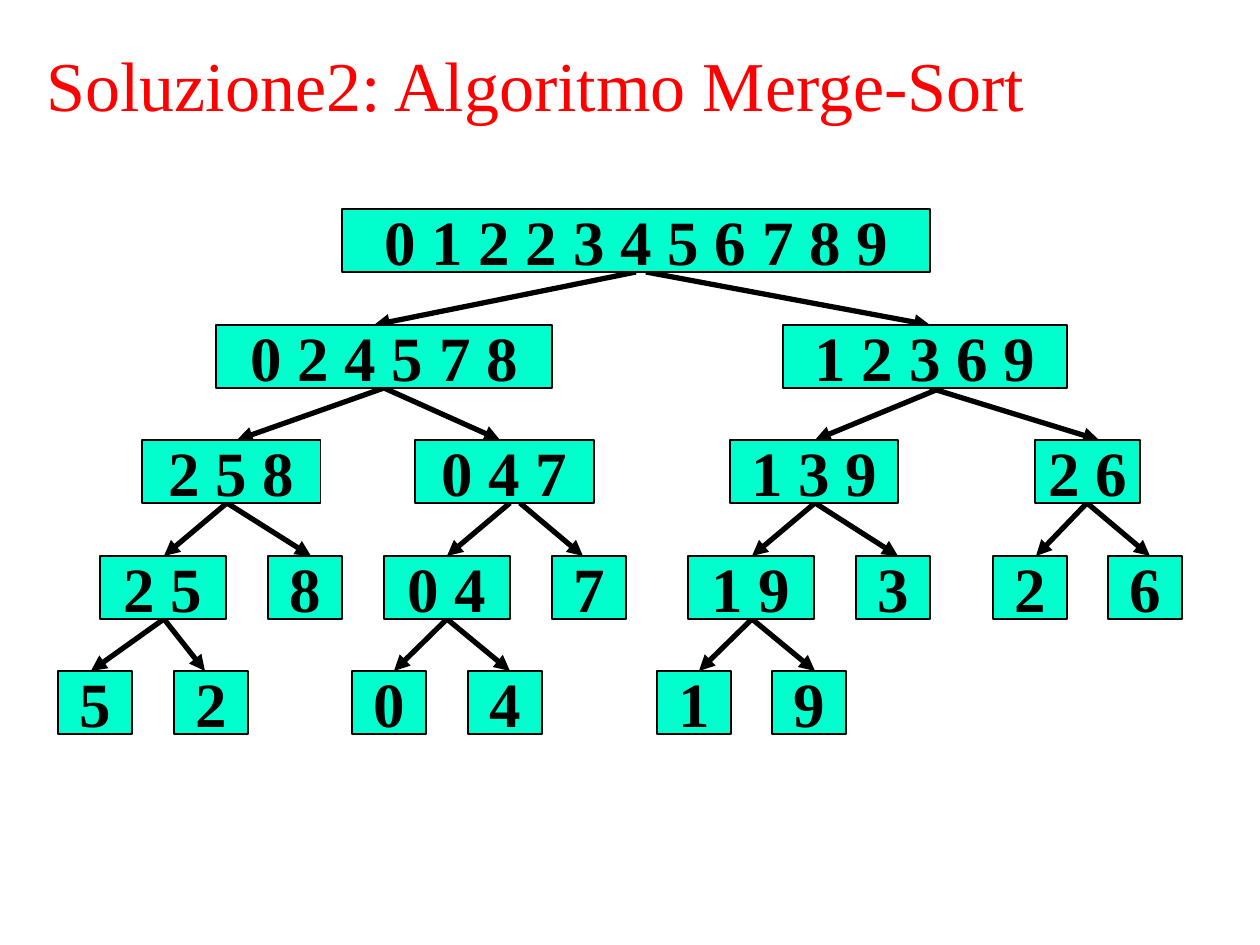
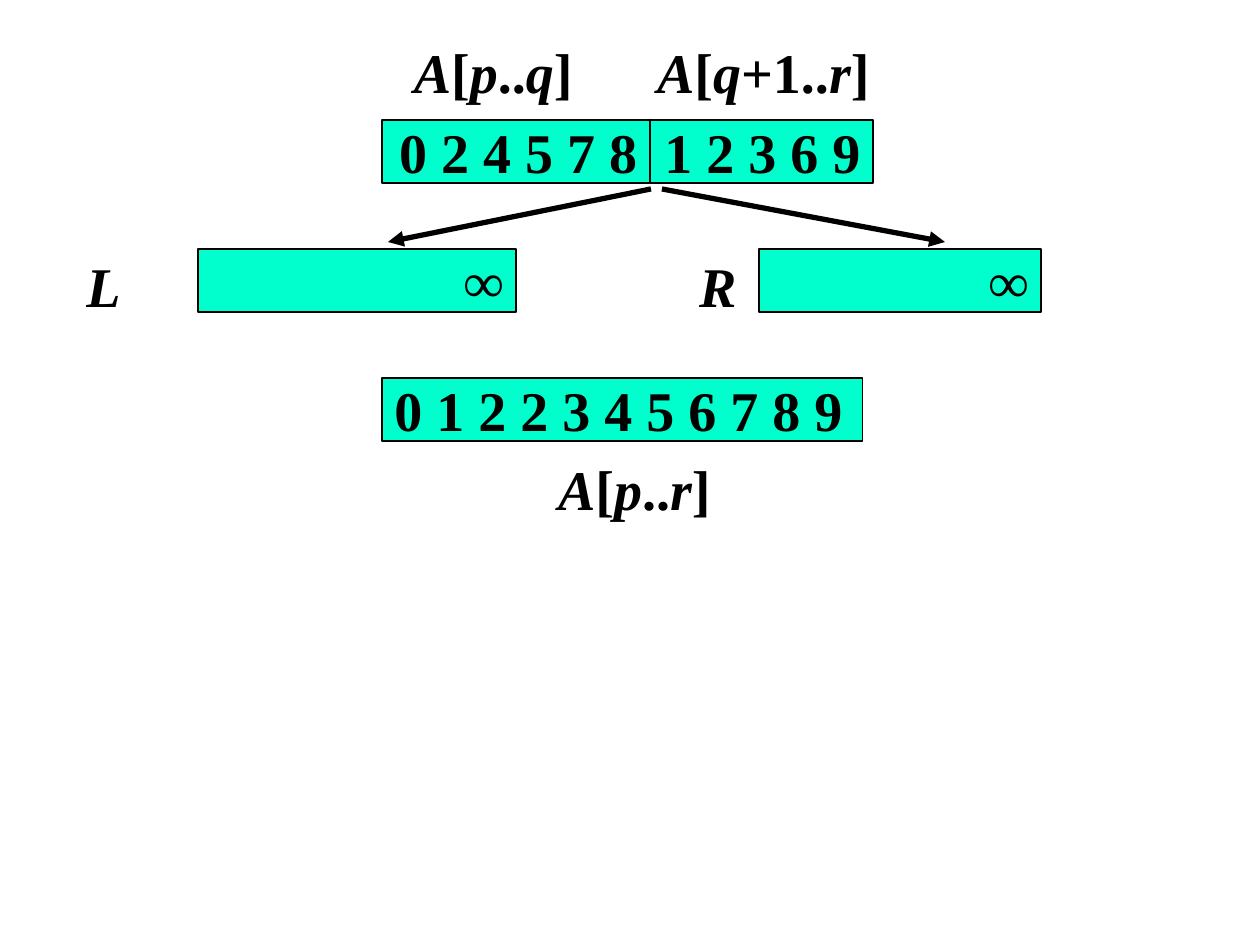
from itertools import groupby

from lxml import etree
from pptx import Presentation
from pptx import util as u
from pptx.dml import color
from pptx.enum import shapes, text
from pptx.oxml import ns

SCALE = 914400 // 126
FONT = "Times New Roman"
BLACK, WHITE, RED, AQUA = "000000", "FFFFFF", "FF0000", "00FFCC"
LEFT, CENTER, RIGHT = text.PP_ALIGN.LEFT, text.PP_ALIGN.CENTER, text.PP_ALIGN.RIGHT
BOX_HEIGHT = 63


def px(*lengths):
    return [u.Emu(length * SCALE) for length in lengths]


def rgb(code):
    return color.RGBColor.from_string(code)


class Deck:
    def __init__(self):
        self.file = Presentation()
        self.file.slide_width, self.file.slide_height = px(1260, 945)
        self.slide = None

    def new_slide(self, layout):
        self.slide = self.file.slides.add_slide(self.file.slide_layouts[layout])

    def style(self, paragraph, size, code, align, bold):
        paragraph.alignment = align
        font = paragraph.font
        font.name, font.size, font.bold = FONT, u.Pt(size), bold
        font.color.rgb = rgb(code)

    def title(self, wording, left, top, width, height):
        heading = self.slide.shapes.title
        heading.left, heading.top, heading.width, heading.height = px(left, top, width, height)
        frame = heading.text_frame
        frame.text = wording
        frame.vertical_anchor = text.MSO_ANCHOR.TOP
        frame.auto_size = text.MSO_AUTO_SIZE.SHAPE_TO_FIT_TEXT
        self.style(frame.paragraphs[0], 40, RED, LEFT, False)

    def rectangle(self, left, top, width, height, fill, size, align):
        area = self.slide.shapes.add_shape(
            shapes.MSO_SHAPE.RECTANGLE, *px(left, top, width, height))
        area.shadow.inherit = False
        area.fill.solid()
        area.fill.fore_color.rgb = rgb(fill)
        area.text_frame.word_wrap = False
        area.text_frame.vertical_anchor = text.MSO_ANCHOR.MIDDLE
        self.style(area.text_frame.paragraphs[0], size, BLACK, align, True)
        return area

    def array(self, values, left, top, width, size=32, align=RIGHT):
        area = self.rectangle(left, top, width, BOX_HEIGHT, AQUA, size, align)
        area.line.color.rgb = rgb(BLACK)
        area.line.width = u.Pt(0.75)
        area.text_frame.paragraphs[0].add_run().text = values

    def label(self, formula, left, top, width, height):
        area = self.rectangle(left, top, width, height, WHITE, 32, RIGHT)
        area.line.fill.background()
        for is_variable, letters in groupby(formula, str.isalpha):
            run = area.text_frame.paragraphs[0].add_run()
            run.text = "".join(letters)
            run.font.italic = is_variable

    def arrow(self, x1, y1, x2, y2):
        line = self.slide.shapes.add_connector(
            shapes.MSO_CONNECTOR.STRAIGHT, *px(x1, y1, x2, y2))
        line.line.color.rgb = rgb(BLACK)
        line.line.width = u.Pt(3)
        stroke = line.line._get_or_add_ln()
        etree.SubElement(stroke, ns.qn("a:tailEnd"), type="triangle")
        etree.SubElement(line._element.spPr, ns.qn("a:effectLst"))


deck = Deck()

deck.new_slide(5)
deck.title("Soluzione2: Algoritmo Merge-Sort", 34, 35, 1211, 97)

LEVEL_TOPS = [round(209 + 115.6 * level) for level in range(5)]
SINGLE, PAIR = 74, 126
branches = [
    [(636, 374), (646, 930)],
    [(384, 237), (384, 500), (941, 815), (930, 1099)],
    [(227, 164), (227, 311), (510, 447), (520, 583),
     (815, 752), (815, 898), (1087, 1036), (1087, 1150)],
    [(164, 91), (164, 205), (447, 394), (447, 510), (752, 699), (752, 815)],
]
levels = [
    [("0 1 2 2 3 4 5 6 7 8 9", 342, 588)],
    [("0 2 4 5 7 8", 216, 336), ("1 2 3 6 9", 783, 284)],
    [("2 5 8", 142, 179), ("0 4 7", 415, 179), ("1 3 9", 730, 168), ("2 6", 1035, 105)],
    [("2 5", 100, PAIR), ("8", 268, SINGLE), ("0 4", 384, PAIR), ("7", 552, SINGLE),
     ("1 9", 688, PAIR), ("3", 856, SINGLE), ("2", 993, SINGLE), ("6", 1108, SINGLE)],
    [("5", 58, SINGLE), ("2", 174, SINGLE), ("0", 352, SINGLE),
     ("4", 468, SINGLE), ("1", 657, SINGLE), ("9", 772, SINGLE)],
]
for parent_top, child_top, splits in zip(LEVEL_TOPS, LEVEL_TOPS[1:], branches):
    for start, end in splits:
        deck.arrow(start, parent_top + BOX_HEIGHT, end, child_top)
for top, arrays in zip(LEVEL_TOPS, levels):
    for values, left, width in arrays:
        deck.array(values, left, top, width, 36, CENTER)

deck.new_slide(6)
for start, end in [(651, 388), (662, 945)]:
    deck.arrow(start, 189, end, 242)
for formula, left, top in [("A[p..q]", 392, 35), ("A[q+1..r]", 689, 35), ("A[p..r]", 530, 452)]:
    deck.label(formula, left, top, 193, 73)
for name, left in [("L", 39), ("R", 655)]:
    deck.label(name, left, 254, 94, BOX_HEIGHT)
for values, left, top, width in [
    ("0 2 4 5 7 8", 382, 120, 268),
    ("1 2 3 6 9", 650, 120, 223),
    ("∞", 198, 249, 318),
    ("∞", 759, 249, 282),
]:
    deck.array(values, left, top, width)
deck.array("0 1 2 2 3 4 5 6 7 8 9", 382, 378, 481, align=LEFT)

deck.file.save("out.pptx")
